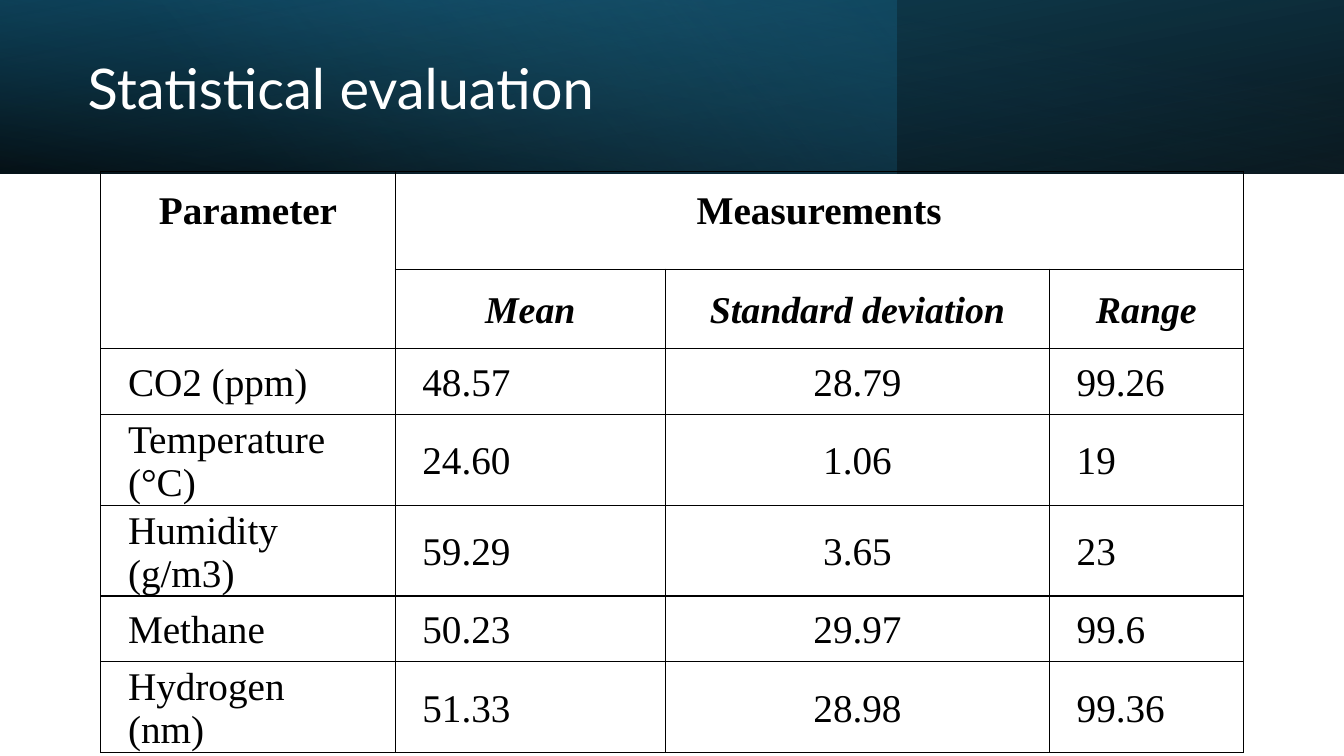
from lxml import etree
from pptx import Presentation
from pptx import util as u
from pptx.dml.color import RGBColor
from pptx.enum import shapes, text
from pptx.oxml import ns

TITLE = "Statistical evaluation"
HEADINGS = ["Parameter", "Measurements"]
STATISTICS = ["Mean", "Standard deviation", "Range"]
MEASURED = [
    ("CO2 (ppm)", "48.57", "28.79", "99.26"),
    ("Temperature (°C)", "24.60", "1.06", "19"),
    ("Humidity (g/m3)", "59.29", "3.65", "23"),
    ("Methane", "50.23", "29.97", "99.6"),
    ("Hydrogen (nm)", "51.33", "28.98", "99.36"),
]
COLUMN_WIDTHS = [2.92, 2.68, 3.81, 1.92]
ROW_HEIGHTS = [0.97, 0.79, 0.65, 0.9, 0.9, 0.65, 0.9]
BAND_HEIGHT = 1.72
# width, rotation, mirrored, angle, stops as (position %, colour, opacity %)
BANDS = [
    (13.33, 180, True, 100, [(0, "000000", 96), (100, "104862", 100)]),
    (8.89, 0, False, 140, [(0, "156082", 41), (74, "46B1E1", 0)]),
    (13.33, 0, True, 260, [(0, "000000", 63), (78, "156082", 15)]),
]
CENTER, JUSTIFY, LEFT = (text.PP_ALIGN.CENTER, text.PP_ALIGN.JUSTIFY,
                         text.PP_ALIGN.LEFT)
COLUMN_ALIGNS = [JUSTIFY, JUSTIFY, CENTER, LEFT]
HEADING_INSETS = (0.36, 0.18, 0.36, 0.18)
CELL_INSETS = (0.27, 0.04, 0.27, 0)


def color(value):
    return RGBColor.from_string(value)


def add_child(parent, tag, **attributes):
    return etree.SubElement(parent, ns.qn(tag), attributes)


def add_run(paragraph, words, size, font, ink, bold=False, italic=False):
    run = paragraph.add_run()
    run.text = words
    run.font.size, run.font.name = u.Pt(size), font
    run.font.bold, run.font.italic = bold, italic
    run.font.color.rgb = color(ink)


def add_band(slide, width, rotation, mirrored, angle, stops):
    band = slide.shapes.add_shape(shapes.MSO_SHAPE.RECTANGLE, 0, 0,
                                  u.Inches(width), u.Inches(BAND_HEIGHT))
    band.shadow.inherit = False
    band.line.fill.background()
    band.rotation = rotation
    properties = band.element.spPr
    if mirrored:
        properties.find(ns.qn("a:xfrm")).set("flipH", "1")
    # Gradient with transparent stops
    gradient = etree.Element(ns.qn("a:gradFill"), {"rotWithShape": "1"})
    stop_list = add_child(gradient, "a:gsLst")
    for position, value, opacity in stops:
        stop = add_child(stop_list, "a:gs", pos=str(position * 1000))
        shade = add_child(stop, "a:srgbClr", val=value)
        add_child(shade, "a:alpha", val=str(opacity * 1000))
    add_child(gradient, "a:lin", ang=str(angle * 60000), scaled="0")
    properties.find(ns.qn("a:prstGeom")).addnext(gradient)
    return band


def style_cell(cell, insets, anchor):
    (cell.margin_left, cell.margin_top,
     cell.margin_right, cell.margin_bottom) = map(u.Inches, insets)
    cell.vertical_anchor = anchor
    properties = cell._tc.get_or_add_tcPr()
    for side in ("L", "R", "T", "B"):
        border = add_child(properties, "a:ln" + side, w=str(u.Pt(1)))
        ink = add_child(border, "a:solidFill")
        add_child(ink, "a:srgbClr", val="000000")
    cell.fill.background()


def write_cell(cell, words, align, size=28, bold=False, italic=False):
    paragraph = cell.text_frame.paragraphs[0]
    paragraph.alignment = align
    add_run(paragraph, words, size, "Times New Roman", "000000", bold, italic)


def add_statistics(slide):
    frame = slide.shapes.add_table(
        len(ROW_HEIGHTS), len(COLUMN_WIDTHS), u.Inches(1), u.Inches(1.7),
        u.Inches(sum(COLUMN_WIDTHS)), u.Inches(sum(ROW_HEIGHTS)))
    table = frame.table
    table.first_row = table.horz_banding = False
    for column, width in zip(table.columns, COLUMN_WIDTHS):
        column.width = u.Inches(width)
    for index, (row, height) in enumerate(zip(table.rows, ROW_HEIGHTS)):
        row.height = u.Inches(height)
        for cell in row.cells:
            if index == 0:
                style_cell(cell, HEADING_INSETS, text.MSO_ANCHOR.TOP)
            else:
                style_cell(cell, CELL_INSETS, text.MSO_ANCHOR.MIDDLE)

    # Two-level heading
    table.cell(0, 0).merge(table.cell(1, 0))
    table.cell(0, 1).merge(table.cell(0, 3))
    for column, heading in enumerate(HEADINGS):
        write_cell(table.cell(0, column), heading, CENTER, bold=True)
    for column, statistic in enumerate(STATISTICS, 1):
        write_cell(table.cell(1, column), statistic, CENTER, 27, True, True)

    # Measured values
    for row, values in enumerate(MEASURED, 2):
        for column, value in enumerate(values):
            write_cell(table.cell(row, column), value, COLUMN_ALIGNS[column])


def main():
    deck = Presentation()
    deck.slide_width, deck.slide_height = u.Inches(13.33), u.Inches(7.5)
    slide = deck.slides.add_slide(deck.slide_layouts[5])

    # Header bands, with the title in front of them
    title = slide.shapes.title
    for band in BANDS:
        front_band = add_band(slide, *band)
    front_band.element.addnext(title.element)
    title.left, title.top = u.Inches(0.77), u.Inches(0.27)
    title.width, title.height = u.Inches(7.72), u.Inches(1.27)
    title.text_frame.vertical_anchor = text.MSO_ANCHOR.MIDDLE
    title.text_frame.word_wrap = True
    heading = title.text_frame.paragraphs[0]
    heading.alignment, heading.line_spacing = LEFT, 0.9
    add_run(heading, TITLE, 40, "Lato", "FFFFFF")

    add_statistics(slide)
    deck.save("out.pptx")


if __name__ == "__main__":
    main()
